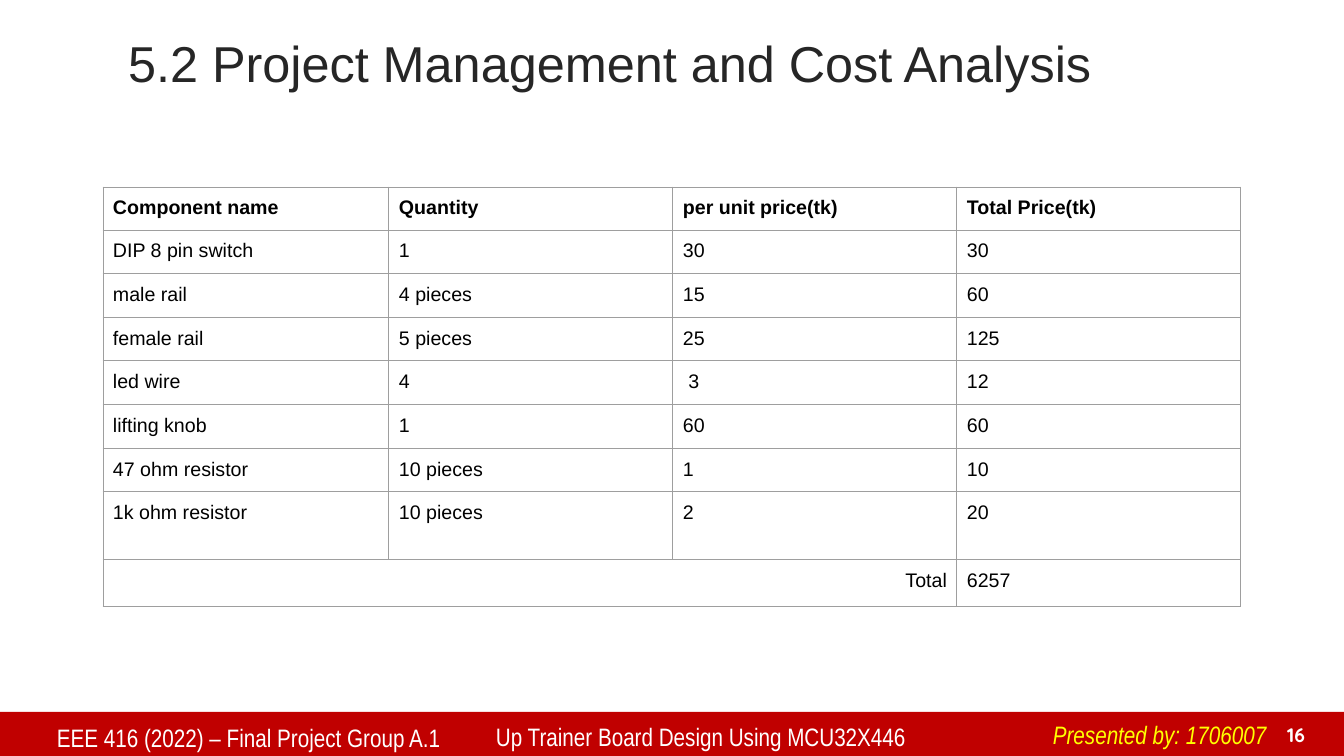
"""Builds the project cost analysis slide."""
import dataclasses

import pptx
import pptx.dml.color
import pptx.enum.shapes
import pptx.enum.text
import pptx.oxml
import pptx.oxml.ns
import pptx.util

EMU_PER_PX = 914400 / 100.8
ALIGN = pptx.enum.text.PP_ALIGN
ANCHOR = pptx.enum.text.MSO_ANCHOR

COLUMN_WIDTHS = [286, 284, 284, 284]
ROW_HEIGHTS = [43, 44, 44, 43, 44, 44, 43, 68, 47]
COSTS = [
    ["Component name", "Quantity", "per unit price(tk)", "Total Price(tk)"],
    ["DIP 8 pin switch", "1", "30", "30"],
    ["male rail", "4 pieces", "15", "60"],
    ["female rail", "5 pieces", "25", "125"],
    ["led wire", "4", " 3", "12"],
    ["lifting knob", "1", "60", "60"],
    ["47 ohm resistor", "10 pieces", "1", "10"],
    ["1k ohm resistor", "10 pieces", "2", "20"],
    ["Total", "", "", "6257"],
]


@dataclasses.dataclass(frozen=True)
class Theme:
    """Holds the colours, fonts and type sizes."""
    bar: str = "C00000"
    title: str = "262626"
    body: str = "000000"
    footer: str = "FFFFFF"
    presenter: str = "FFFF00"
    border: str = "9E9E9E"
    body_font: str = "Arial"
    footer_font: str = "Arial Narrow"
    number_font: str = "Quicksand"
    title_size: int = 36
    footer_size: int = 18
    small_size: int = 14
    border_width: float = 0.75


def px(length):
    """Turns pixels into EMU."""
    return pptx.util.Emu(round(length * EMU_PER_PX))


def rgb(value):
    """Turns a hex string into a colour."""
    return pptx.dml.color.RGBColor.from_string(value)


def write(frame, text, *, font, size, color, bold=False, italic=False,
          align=ALIGN.LEFT, spacing=1.0):
    """Puts one formatted paragraph into a text frame."""
    paragraph = frame.paragraphs[0]
    paragraph.alignment = align
    paragraph.line_spacing = spacing
    run = paragraph.add_run()
    run.text = text
    run.font.name = font
    run.font.size = pptx.util.Pt(size)
    run.font.bold = bold
    run.font.italic = italic
    run.font.color.rgb = rgb(color)


class SlideBuilder:
    """Adds styled elements to the current slide."""

    def __init__(self, presentation, theme):
        """Starts a slide with a title placeholder."""
        self.theme = theme
        self.slide = presentation.slides.add_slide(presentation.slide_layouts[5])

    def title(self, text, left, top, width, height):
        """Fills and places the title placeholder."""
        shape = self.slide.shapes.title
        shape.left, shape.top = px(left), px(top)
        shape.width, shape.height = px(width), px(height)
        frame = shape.text_frame
        frame.auto_size = pptx.enum.text.MSO_AUTO_SIZE.NONE
        frame.vertical_anchor = ANCHOR.MIDDLE
        write(frame, text, font=self.theme.body_font, size=self.theme.title_size,
              color=self.theme.title, spacing=0.9)

    def bar(self, left, top, width, height):
        """Draws the footer bar."""
        shape = self.slide.shapes.add_shape(
            pptx.enum.shapes.MSO_SHAPE.RECTANGLE,
            px(left), px(top), px(width), px(height))
        shape.shadow.inherit = False
        shape.fill.solid()
        shape.fill.fore_color.rgb = rgb(self.theme.bar)
        shape.line.fill.background()

    def label(self, text, left, top, width, height, anchor=ANCHOR.TOP, **changes):
        """Adds a text box in the footer style."""
        shape = self.slide.shapes.add_textbox(px(left), px(top), px(width), px(height))
        frame = shape.text_frame
        frame.word_wrap = True
        frame.vertical_anchor = anchor
        style = {"font": self.theme.footer_font, "size": self.theme.footer_size,
                 "color": self.theme.footer}
        write(frame, text, **(style | changes))

    def border(self, cell):
        """Draws the four borders of a cell."""
        properties = cell._tc.get_or_add_tcPr()
        width = pptx.util.Pt(self.theme.border_width)
        for side in ("lnL", "lnR", "lnT", "lnB"):
            properties.append(pptx.oxml.parse_xml(
                f'<a:{side} {pptx.oxml.ns.nsdecls("a")} w="{width}"><a:solidFill>'
                f'<a:srgbClr val="{self.theme.border}"/></a:solidFill></a:{side}>'))

    def table(self, rows, left, top, widths, heights):
        """Adds a bordered table whose last row is a total."""
        table = self.slide.shapes.add_table(
            len(rows), len(widths), px(left), px(top),
            px(sum(widths)), px(sum(heights))).table
        table.first_row = table.horz_banding = False
        for column, width in zip(table.columns, widths):
            column.width = px(width)
        for row, height in zip(table.rows, heights):
            row.height = px(height)
        last = len(rows) - 1
        table.cell(last, 0).merge(table.cell(last, len(widths) - 2))
        for row_index, row in enumerate(rows):
            for column_index, text in enumerate(row):
                cell = table.cell(row_index, column_index)
                self.border(cell)
                cell.fill.background()
                cell.margin_left = cell.margin_right = px(10)
                cell.margin_top = cell.margin_bottom = px(10)
                if cell.is_spanned:
                    continue
                write(cell.text_frame, text, font=self.theme.body_font,
                      size=self.theme.small_size, color=self.theme.body,
                      bold=row_index == 0,
                      align=ALIGN.RIGHT if cell.is_merge_origin else ALIGN.LEFT)


def main():
    """Builds and saves the presentation."""
    presentation = pptx.Presentation()
    presentation.slide_width, presentation.slide_height = px(1344), px(756)
    theme = Theme()
    builder = SlideBuilder(presentation, theme)
    builder.bar(0, 712, 1344, 44)
    builder.title("5.2 Project Management and Cost Analysis", 118, 24, 1109, 84)
    builder.table(COSTS, 103, 187, COLUMN_WIDTHS, ROW_HEIGHTS)
    builder.label("EEE 416 (2022) – Final Project Group A.1", 47, 717, 450, 39)
    builder.label("Up Trainer Board Design Using MCU32X446", 486, 716, 463, 40)
    builder.label("Presented by: 1706007", 1043, 714, 244, 40,
                  color=theme.presenter, italic=True)
    builder.label("16", 1258, 717, 57, 34, anchor=ANCHOR.BOTTOM,
                  font=theme.number_font, size=theme.small_size, bold=True,
                  align=ALIGN.RIGHT)
    presentation.save("out.pptx")


if __name__ == "__main__":
    main()
